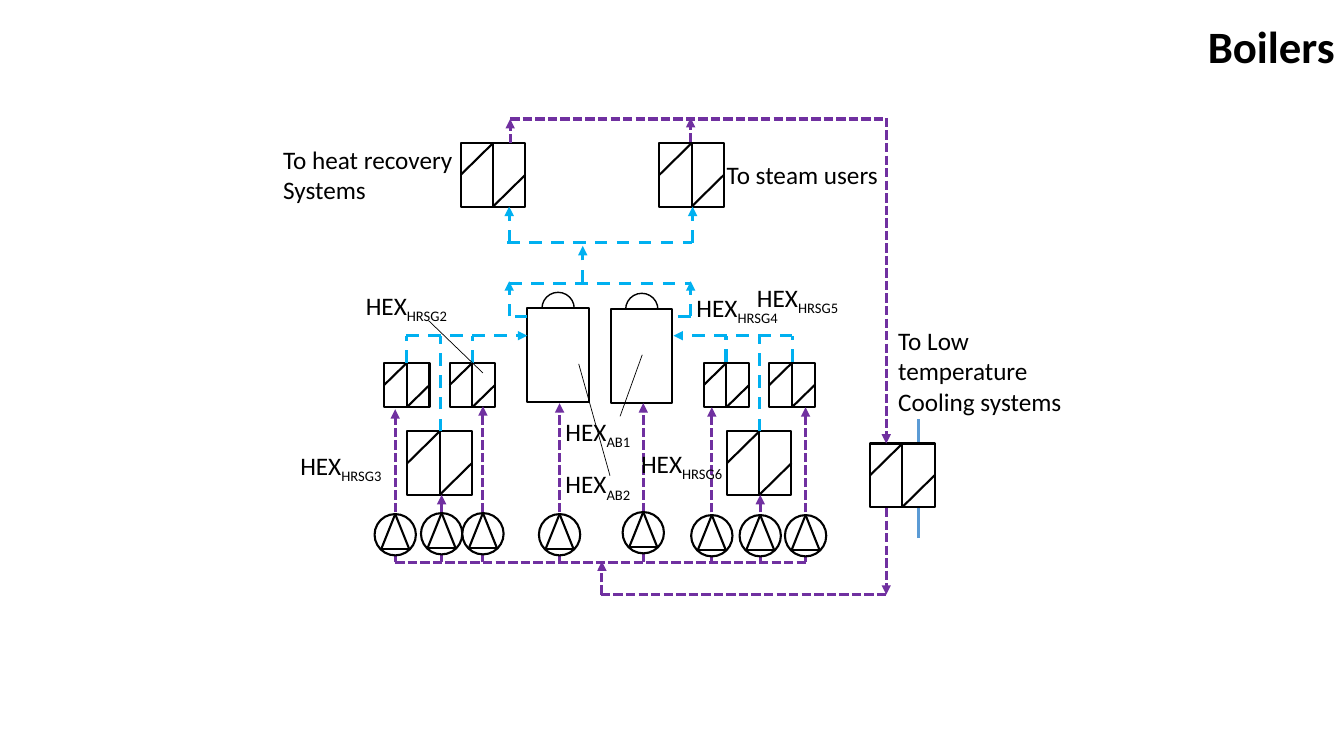
from dataclasses import dataclass
from lxml import etree
from pptx import Presentation
from pptx import util as u
from pptx.dml import color, line
from pptx.enum import dml, shapes, text
from pptx.oxml import ns


@dataclass(frozen=True)
class Theme:
    """Colours, font and sizes of the slide."""
    font: str = "Calibri"
    ink: str = "000000"
    paper: str = "FFFFFF"
    steam: str = "00B0F0"
    water: str = "7030A0"
    coolant: str = "5B9BD5"
    title: int = 32
    label: int = 18
    pipe: float = 2.25
    outline: float = 1.5
    dome: float = 1
    leader: float = 0.5


T = Theme()
DASH = {T.steam: dml.MSO_LINE.DASH, T.water: dml.MSO_LINE.SQUARE_DOT}

TITLE = ("Boilers", 6.35, 0.14, 6.99, 0.64)

# Exchangers: (left, top) by size
EXCHANGERS = {
    (0.64, 0.63): [(4.04, 4.28), (7.21, 4.28), (6.54, 1.42), (4.57, 1.42), (8.63, 4.4)],
    (0.45, 0.44): [(3.81, 3.6), (4.46, 3.6), (6.98, 3.6), (7.63, 3.6)],
}
BOILERS = [(5.23, 3.06), (6.06, 3.07)]

# Pumps: centre, top, end of the riser above
PUMPS = [
    (3.92, 5.1, 4.06), (4.38, 5.09, 4.91), (4.79, 5.09, 4.03), (5.55, 5.1, 4),
    (6.38, 5.08, 4), (7.06, 5.11, 4.04), (7.54, 5.11, 4.91), (7.99, 5.11, 4.04),
]
SUPPLY_Y, STEAM_Y = 5.58, 3.33

# Steam outlets of the lower exchangers: x, start
OUTLETS = [(4.03, 3.6), (4.69, 3.6), (4.37, 4.28), (7.86, 3.59), (7.2, 3.59), (7.53, 4.28)]

# Pipes: x1, y1, x2, y2, arrow at the end
STEAM_PIPES = [
    (5.05, 2.81, 6.85, 2.81, False),
    (6.85, 3.14, 6.85, 2.79, True),
    (5.05, 3.14, 5.05, 2.79, True),
    (4.03, STEAM_Y, 5.23, STEAM_Y, True),
    (7.86, STEAM_Y, 6.68, STEAM_Y, True),
    (5.23, 3.14, 5.03, 3.14, False),
    (6.85, 3.14, 6.65, 3.14, False),
    (5.78, 2.8, 5.78, 2.44, True),
    (5.05, 2.41, 5.05, 2.05, True),
    (5.03, 2.41, 6.86, 2.41, False),
    (6.87, 2.41, 6.87, 2.05, True),
]
WATER_PIPES = [
    (3.92, SUPPLY_Y, 8, SUPPLY_Y, False),
    (5.06, 1.42, 5.06, 1.18, True),
    (5.06, 1.18, 8.79, 1.18, False),
    (6.85, 1.41, 6.85, 1.17, True),
    (8.79, 1.17, 8.79, 4.4, True),
    (8.79, 5.04, 8.79, 5.9, True),
    (5.96, 5.9, 8.79, 5.9, False),
    (5.97, 5.9, 5.97, 5.57, True),
]
COOLANT_LINE = (9.11, 5.34, 9.11, 4.16)
LEADERS = [(4.25, 3.18, 4.79, 3.7), (6.15, 4.13, 6.37, 3.52), (6.05, 4.72, 5.74, 3.61)]

# Unit tags: subscript, left, top, width
TAGS = [
    ("HRSG3", 2.88, 4.42, 1.06), ("HRSG2", 3.53, 2.83, 1.06), ("HRSG5", 7.41, 2.75, 1.06),
    ("HRSG6", 6.26, 4.4, 1.06), ("HRSG4", 6.81, 2.85, 1.06),
    ("AB1", 5.51, 4.08, 0.88), ("AB2", 5.51, 4.6, 0.88),
]
# Destinations: paragraphs, left, top, width, height, wrap
DESTINATIONS = [
    (["To steam users"], 7.11, 1.53, 1.7, 0.4, False),
    (["To heat recovery", "Systems"], 2.71, 1.38, 1.88, 0.71, False),
    (["To Low temperature", "Cooling systems"], 8.81, 3.18, 1.82, 1.01, True),
]


def inches(*values):
    """Turn numbers into lengths."""
    return [u.Inches(v) for v in values]


def rgb(code):
    """Turn a hex code into a colour."""
    return color.RGBColor.from_string(code)


def add_line(parent, ends, ink=T.ink, width=T.outline, arrow=False):
    """Draw a straight line, dashed as its colour asks."""
    c = parent.shapes.add_connector(shapes.MSO_CONNECTOR.STRAIGHT, *inches(*ends))
    c.line.color.rgb = rgb(ink)
    c.line.width = u.Pt(width)
    if ink in DASH:
        c.line.dash_style = DASH[ink]
    sp_pr = c._element.spPr
    if arrow:
        etree.SubElement(sp_pr.find(ns.qn("a:ln")), ns.qn("a:tailEnd"), type="triangle")
    etree.SubElement(sp_pr, ns.qn("a:effectLst"))


def add_outline(parent, kind, box, width=T.outline):
    """Draw a white shape with a black outline."""
    sp = parent.shapes.add_shape(kind, *inches(*box))
    sp.shadow.inherit = False
    sp.fill.solid()
    sp.fill.fore_color.rgb = rgb(T.paper)
    sp.line.color.rgb = rgb(T.ink)
    sp.line.width = u.Pt(width)


def add_exchanger(s, x, y, w, h):
    """Draw a heat exchanger: two halves, each with a diagonal."""
    g = s.shapes.add_group_shape()
    mid, half, right, base = x + w / 2, y + h / 2, x + w, y + h
    add_outline(g, shapes.MSO_SHAPE.RECTANGLE, (x, y, w, h))
    for ends in [(x, half, mid, y), (mid, base, mid, y), (mid, base, right, half)]:
        add_line(g, ends)


def add_boiler(s, x, y, w=0.61, h=0.93, dome=0.32):
    """Draw a boiler body in front of its round dome."""
    g = s.shapes.add_group_shape()
    dome_box = (x + (w - dome) / 2, y - dome / 2, dome, dome)
    add_outline(g, shapes.MSO_SHAPE.OVAL, dome_box, T.dome)
    add_outline(g, shapes.MSO_SHAPE.RECTANGLE, (x, y, w, h))


def add_pump(s, x, y, size=0.41, rise=0.35, reach=0.14):
    """Draw a pump: a circle around a triangle pointing up."""
    g = s.shapes.add_group_shape()
    base = y + rise
    add_outline(g, shapes.MSO_SHAPE.OVAL, (x - size / 2, y, size, size))
    add_line(g, (x - reach, base, x + reach, base))
    for side in (-reach, reach):
        add_line(g, (x, y, x + side, base))


def add_run(p, words, size=T.label, bold=False, subscript=False):
    """Add one formatted run."""
    r = p.add_run()
    r.text = words
    r.font.name, r.font.size, r.font.bold = T.font, u.Pt(size), bold
    r.font.color.rgb = rgb(T.ink)
    if subscript:
        r._r.get_or_add_rPr().set("baseline", "-25000")


def add_label(s, paragraphs, box, wrap=False):
    """Add a text box; each paragraph lists (words, subscript) runs."""
    tf = s.shapes.add_textbox(*inches(*box)).text_frame
    tf.word_wrap = wrap
    tf.auto_size = text.MSO_AUTO_SIZE.SHAPE_TO_FIT_TEXT
    for i, runs in enumerate(paragraphs):
        p = tf.add_paragraph() if i else tf.paragraphs[0]
        for words, subscript in runs:
            add_run(p, words, subscript=subscript)


def set_title(s, words, *box):
    """Place and format the title."""
    sp = s.shapes.title
    sp.left, sp.top, sp.width, sp.height = inches(*box)
    tf = sp.text_frame
    tf.auto_size = text.MSO_AUTO_SIZE.NONE
    tf.vertical_anchor = text.MSO_ANCHOR.TOP
    p = tf.paragraphs[0]
    p.alignment = text.PP_ALIGN.RIGHT
    add_run(p, words, T.title, bold=True)


prs = Presentation()
prs.slide_width, prs.slide_height = inches(13.33, 7.5)
s = prs.slides.add_slide(prs.slide_layouts[5])
set_title(s, *TITLE)

add_line(s, COOLANT_LINE, T.coolant, T.pipe)
for size, corners in EXCHANGERS.items():
    for corner in corners:
        add_exchanger(s, *corner, *size)
for corner in BOILERS:
    add_boiler(s, *corner)

outlets = [(x, y, x, STEAM_Y, False) for x, y in OUTLETS]
risers = [(x, SUPPLY_Y, x, end, True) for x, _, end in PUMPS]
for ink, pipes in [(T.steam, outlets + STEAM_PIPES), (T.water, risers + WATER_PIPES)]:
    for *ends, arrow in pipes:
        add_line(s, ends, ink, T.pipe, arrow)
for x, top, _ in PUMPS:
    add_pump(s, x, top)

for unit, x, y, w in TAGS:
    add_label(s, [[("HEX", False), (unit, True)]], (x, y, w, 0.4))
for paragraphs, *box, wrap in DESTINATIONS:
    add_label(s, [[(words, False)] for words in paragraphs], box, wrap)
for ends in LEADERS:
    add_line(s, ends, width=T.leader)

prs.save("out.pptx")
